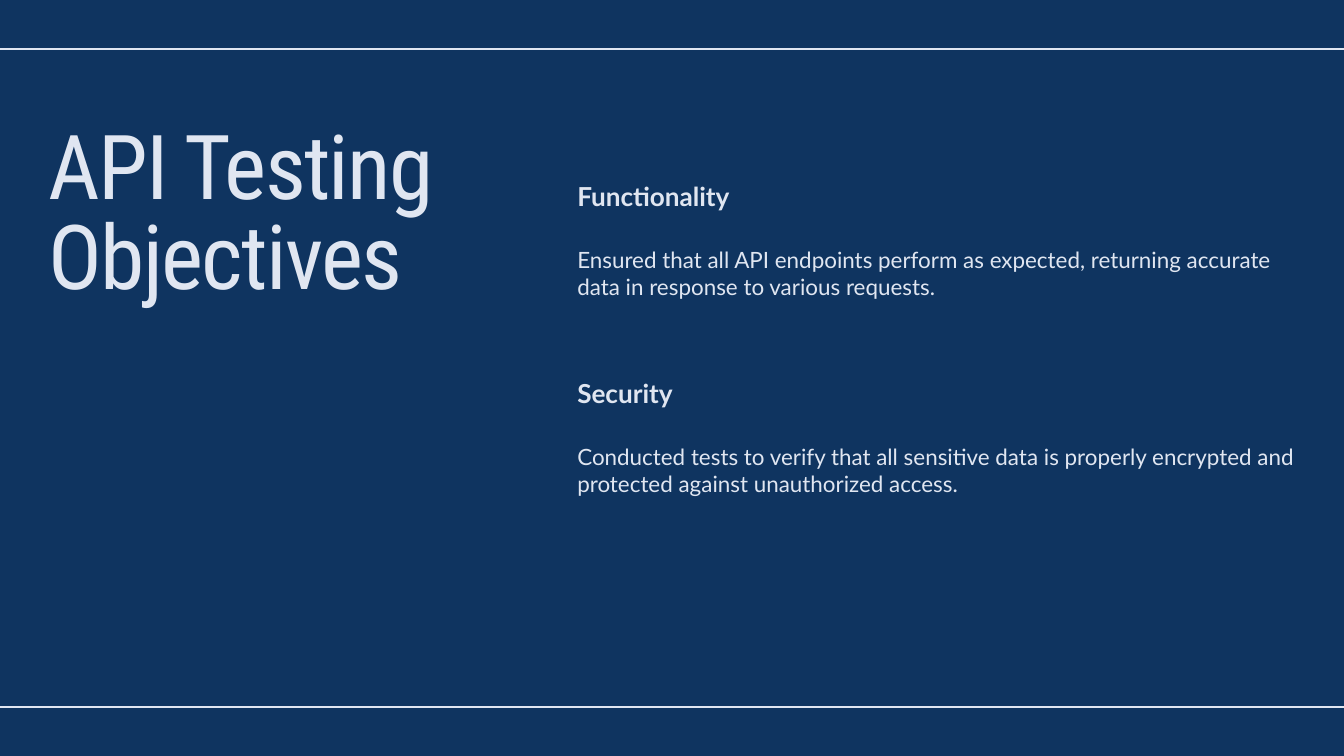
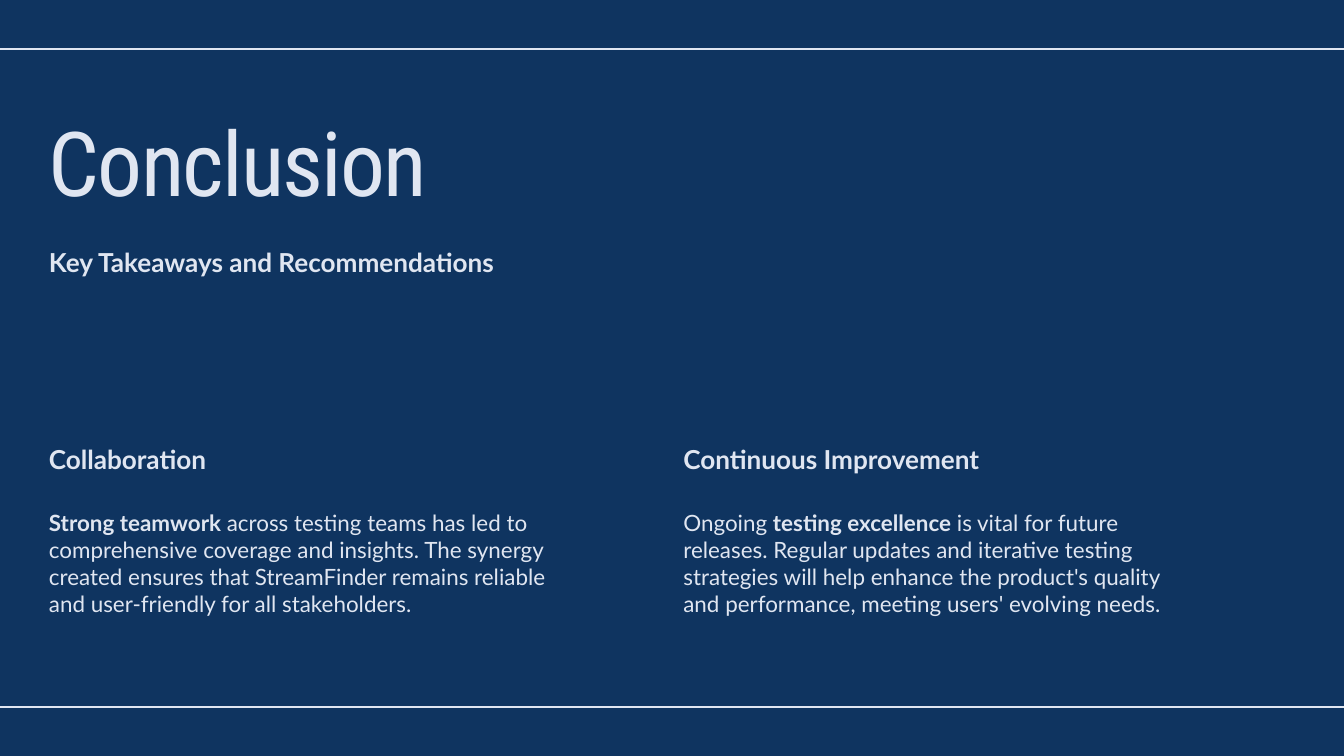
from dataclasses import dataclass

from lxml.etree import SubElement
from pptx import Presentation
from pptx.dml.color import RGBColor
from pptx.enum.shapes import MSO_CONNECTOR as Connector
from pptx.enum.text import MSO_AUTO_SIZE as AutoSize
from pptx.oxml.ns import qn
from pptx.util import Cm, Pt


@dataclass(frozen=True)
class TextStyle:
    font: str
    size: float
    leading: float
    bold: bool = False
    tracking: float = 0


@dataclass(frozen=True)
class Theme:
    background: RGBColor = RGBColor(0x0F, 0x34, 0x60)
    ink: RGBColor = RGBColor(0xE0, 0xE6, 0xF1)
    rule_width: float = 1.5
    title: TextStyle = TextStyle("Roboto Condensed", 96, 96, tracking=-1.9)
    heading: TextStyle = TextStyle("Lato", 28, 33.6, bold=True)
    body: TextStyle = TextStyle("Lato", 24, 28.8)


# Shared layout, in centimetres
WIDTH, HEIGHT = 50.8, 28.58
MARGIN = 1.85
CONTENT_WIDTH = WIDTH - 2 * MARGIN
HEADING_HEIGHT = 1.17
BODY_OFFSET = 2.49


class Deck:
    """Holds the theme and the slide being built."""

    def __init__(self, theme):
        self.theme = theme
        self.presentation = Presentation()
        self.presentation.slide_width = Cm(WIDTH)
        self.presentation.slide_height = Cm(HEIGHT)
        self.slide = None

    def new_slide(self):
        self.slide = self.presentation.slides.add_slide(
            self.presentation.slide_layouts[6])
        fill = self.slide.background.fill
        fill.solid()
        fill.fore_color.rgb = self.theme.background

    def rules(self):
        for y in (MARGIN, HEIGHT - MARGIN):
            line = self.slide.shapes.add_connector(
                Connector.STRAIGHT, 0, Cm(y), Cm(WIDTH), Cm(y))
            line.line.color.rgb = self.theme.ink
            line.line.width = Pt(self.theme.rule_width)
            SubElement(line._element.spPr, qn("a:effectLst"))

    def text(self, shapes, text, style, left, top, width, height):
        """Add a text box; words between ** marks are bold."""
        box = shapes.add_textbox(Cm(left), Cm(top), Cm(width), Cm(height))
        frame = box.text_frame
        frame.word_wrap = True
        frame.auto_size = AutoSize.SHAPE_TO_FIT_TEXT
        frame.margin_left = frame.margin_right = 0
        frame.margin_top = frame.margin_bottom = 0

        paragraph = frame.paragraphs[0]
        paragraph.line_spacing = Pt(style.leading)
        font = paragraph.font
        font.name = style.font
        font.size = Pt(style.size)
        font.bold = style.bold
        font.color.rgb = self.theme.ink

        for index, part in enumerate(text.split("**")):
            if not part:
                continue
            run = paragraph.add_run()
            run.text = part
            if index % 2:
                run.font.bold = True
            if style.tracking:
                properties = run._r.get_or_add_rPr()
                properties.set("spc", str(round(style.tracking * 100)))

    def title(self, text, top, width, height, shapes=None):
        self.text(shapes or self.slide.shapes, text, self.theme.title,
                  MARGIN, top, width, height)

    def title_with_subtitle(self, title, subtitle, top):
        shapes = self.slide.shapes.add_group_shape().shapes
        self.title(title, top, CONTENT_WIDTH, 3.68, shapes)
        self.text(shapes, subtitle, self.theme.heading,
                  MARGIN, top + 4.6, CONTENT_WIDTH, HEADING_HEIGHT)

    def topic(self, heading, body, left, top, width, body_height):
        shapes = self.slide.shapes.add_group_shape().shapes
        self.text(shapes, heading, self.theme.heading,
                  left, top, width, HEADING_HEIGHT)
        self.text(shapes, body, self.theme.body,
                  left, top + BODY_OFFSET, width, body_height)


def objectives_slide(deck):
    deck.new_slide()
    # Topics stacked on the right
    topics = [
        ("Functionality",
         "Ensured that all API endpoints perform as expected, returning "
         "accurate data in response to various requests."),
        ("Security",
         "Conducted tests to verify that all sensitive data is properly "
         "encrypted and protected against unauthorized access."),
    ]
    for row, (heading, body) in enumerate(topics):
        deck.topic(heading, body, 21.82, 6.83 + row * 7.44, 27.13, 2.01)
    deck.title("API Testing Objectives", 4.85, 15.14, 6.96)
    deck.rules()


def conclusion_slide(deck):
    deck.new_slide()
    # Topics side by side
    topics = [
        ("Collaboration",
         "**Strong teamwork** across testing teams has led to comprehensive "
         "coverage and insights. The synergy created ensures that "
         "StreamFinder remains reliable and user-friendly for all "
         "stakeholders."),
        ("Continuous Improvement",
         "Ongoing **testing excellence** is vital for future releases. "
         "Regular updates and iterative testing strategies will help enhance "
         "the product's quality and performance, meeting users' evolving "
         "needs."),
    ]
    for column, (heading, body) in enumerate(topics):
        deck.topic(heading, body, MARGIN + column * 23.98, 16.76, 19.13, 4.01)
    deck.title_with_subtitle(
        "Conclusion", "Key Takeaways and Recommendations", 4.72)
    deck.rules()


def main():
    deck = Deck(Theme())
    objectives_slide(deck)
    conclusion_slide(deck)
    deck.presentation.save("out.pptx")


if __name__ == "__main__":
    main()
